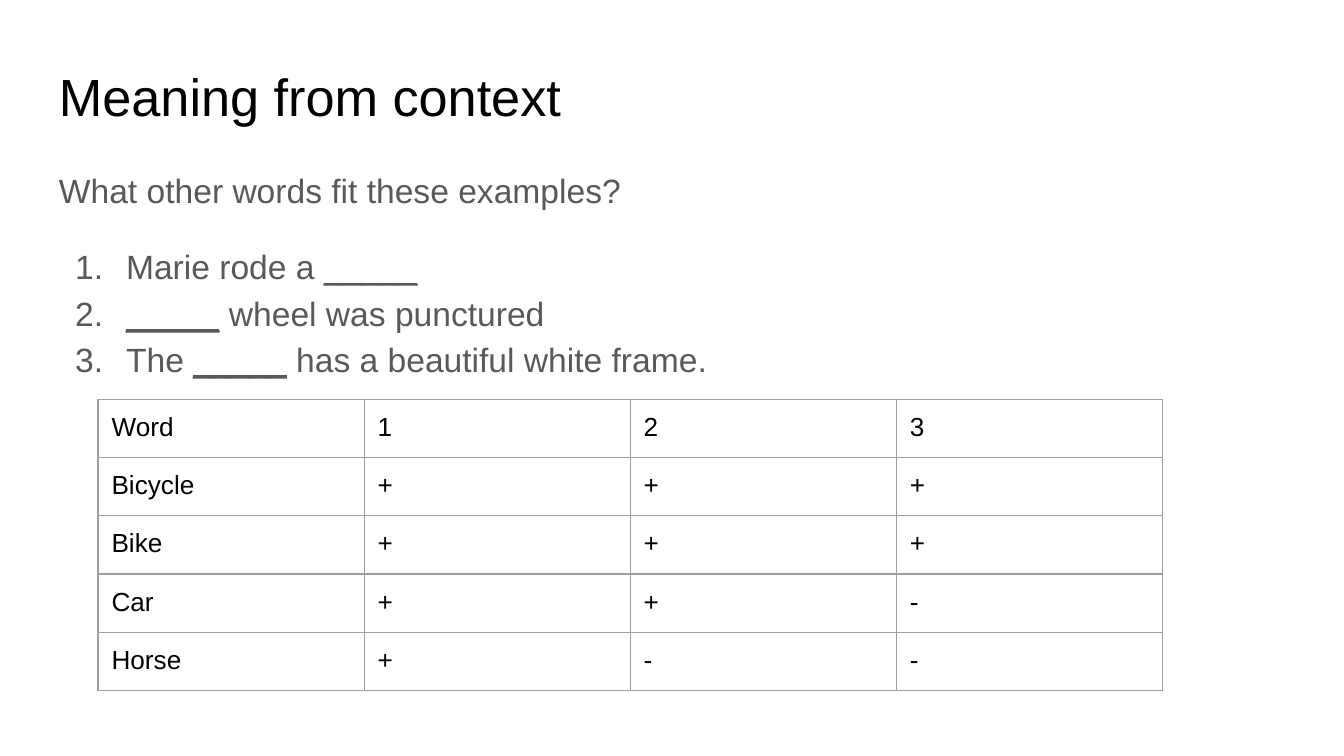
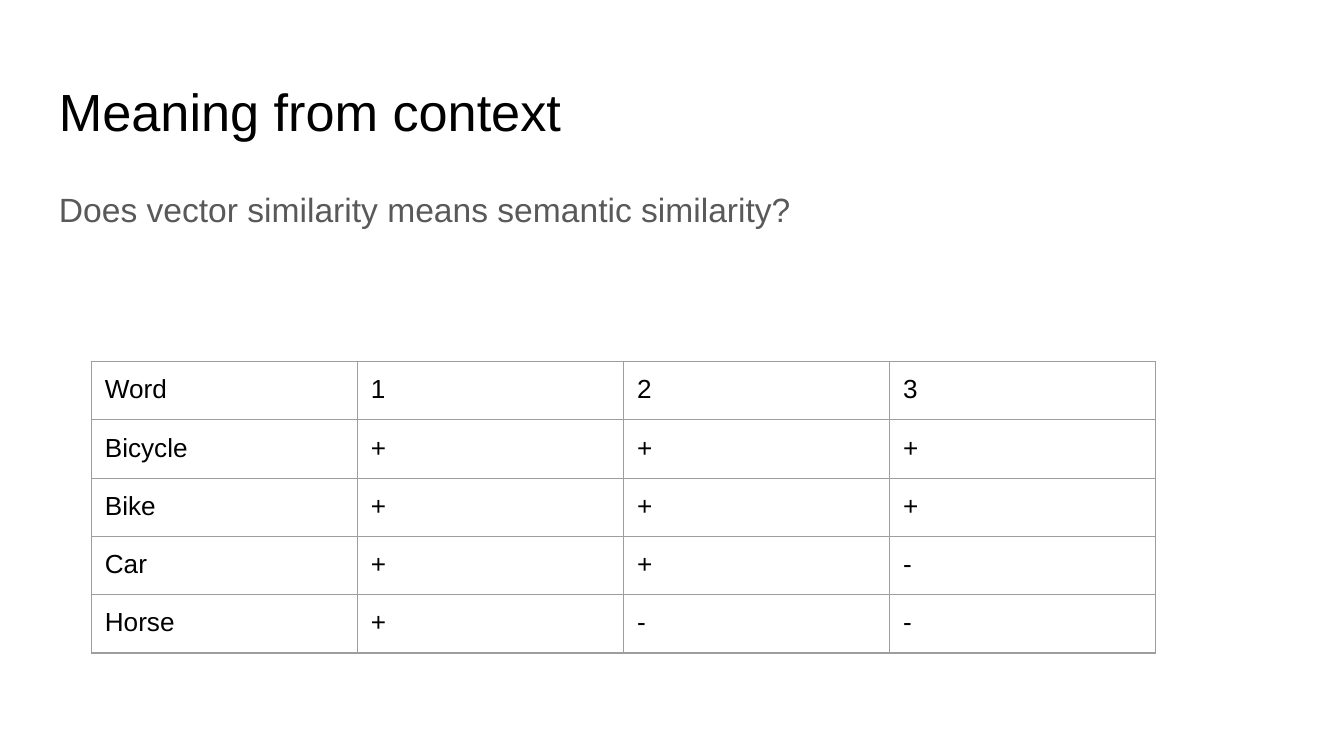
from lxml.etree import SubElement
from pptx import Presentation
from pptx.dml.color import RGBColor
from pptx.enum.text import MSO_ANCHOR
from pptx.oxml import parse_xml
from pptx.oxml.ns import nsdecls, qn
from pptx.util import Inches, Pt

FONT = "Arial"
BLACK = RGBColor(0x00, 0x00, 0x00)
GREY = RGBColor(0x59, 0x59, 0x59)
RULE = RGBColor(0x9E, 0x9E, 0x9E)
PAD = Inches(0.1)
LEFT, WIDTH = Inches(0.34), Inches(9.32)
COL_WIDTH, ROW_HEIGHT = Inches(1.98), Inches(0.42)
TABLE_FRAME = Inches(3.28)
BLANK = "_____"

TITLE = "Meaning from context"
WORD_CONTEXTS = [
    ["Word", "1", "2", "3"],
    ["Bicycle", "+", "+", "+"],
    ["Bike", "+", "+", "+"],
    ["Car", "+", "+", "-"],
    ["Horse", "+", "-", "-"],
]
SLIDES = [
    {
        "title_top": 0.38, "body_top": 1.12, "table_at": (0.73, 2.97),
        "question": "What other words fit these examples?", "space_after": 0,
        "examples": [
            ["Marie rode a ", BLANK],
            [BLANK, " wheel was punctured"],
            ["The ", BLANK, " has a beautiful white frame."],
        ],
    },
    {
        "title_top": 0.49, "body_top": 1.26, "table_at": (0.68, 2.69),
        "question": "Does vector similarity means semantic similarity?", "space_after": 16,
        "examples": [],
    },
]


def add_frame(slide, top, height):
    frame = slide.shapes.add_textbox(LEFT, Inches(top), WIDTH, Inches(height)).text_frame
    settings = {"word_wrap": True, "vertical_anchor": MSO_ANCHOR.TOP, "margin_left": PAD,
                "margin_right": PAD, "margin_top": PAD, "margin_bottom": PAD}
    for name, value in settings.items():
        setattr(frame, name, value)
    return frame


def add_run(paragraph, text, size, color):
    run = paragraph.add_run()
    run.text = text
    for name, value in {"name": FONT, "size": Pt(size)}.items():
        setattr(run.font, name, value)
    run.font.color.rgb = color
    return run


# Widescreen 16:9 page
prs = Presentation()
prs.slide_width = Inches(10)
prs.slide_height = prs.slide_width * 9 // 16

for content in SLIDES:
    slide = prs.slides.add_slide(prs.slide_layouts[6])

    # Title
    title = add_frame(slide, content["title_top"], 0.63)
    add_run(title.paragraphs[0], TITLE, 28, BLACK)

    # Question
    body = add_frame(slide, content["body_top"], 3.74)
    question = body.paragraphs[0]
    question.line_spacing = 1.15
    question.space_after = Pt(content["space_after"])
    add_run(question, content["question"], 18, GREY)

    # Numbered examples with underlined blanks
    for number, parts in enumerate(content["examples"]):
        example = body.add_paragraph()
        example.line_spacing = 1.15
        example.space_before = Pt(0 if number else 16)
        for part in parts:
            add_run(example, part, 18, GREY).font.underline = part == BLANK
        props = example._p.get_or_add_pPr()
        props.set("marL", str(Inches(0.5)))
        props.set("indent", str(-Inches(0.38)))
        SubElement(SubElement(props, qn("a:buClr")), qn("a:srgbClr")).set("val", str(GREY))
        SubElement(props, qn("a:buFont")).set("typeface", FONT)
        SubElement(props, qn("a:buAutoNum")).set("type", "arabicPeriod")

    # Table of words and the contexts they fit
    left, top = content["table_at"]
    contexts = slide.shapes.add_table(len(WORD_CONTEXTS), len(WORD_CONTEXTS[0]), Inches(left),
                                      Inches(top), TABLE_FRAME, TABLE_FRAME)
    table = contexts.table
    table.first_row = table.horz_banding = False
    for column in table.columns:
        column.width = COL_WIDTH
    for row, values in zip(table.rows, WORD_CONTEXTS):
        row.height = ROW_HEIGHT
        for cell, value in zip(row.cells, values):
            for side in ("left", "right", "top", "bottom"):
                setattr(cell, f"margin_{side}", PAD)
            cell.fill.background()
            add_run(cell.text_frame.paragraphs[0], value, 14, BLACK)
            borders = cell._tc.get_or_add_tcPr()
            for index, edge in enumerate(("lnL", "lnR", "lnT", "lnB")):
                borders.insert(index, parse_xml(
                    f'<a:{edge} {nsdecls("a")} w="{Pt(0.75)}"><a:solidFill>'
                    f'<a:srgbClr val="{RULE}"/></a:solidFill></a:{edge}>'))
    # The frame keeps its own size, apart from the columns and rows
    contexts.width = contexts.height = TABLE_FRAME

prs.save("out.pptx")
